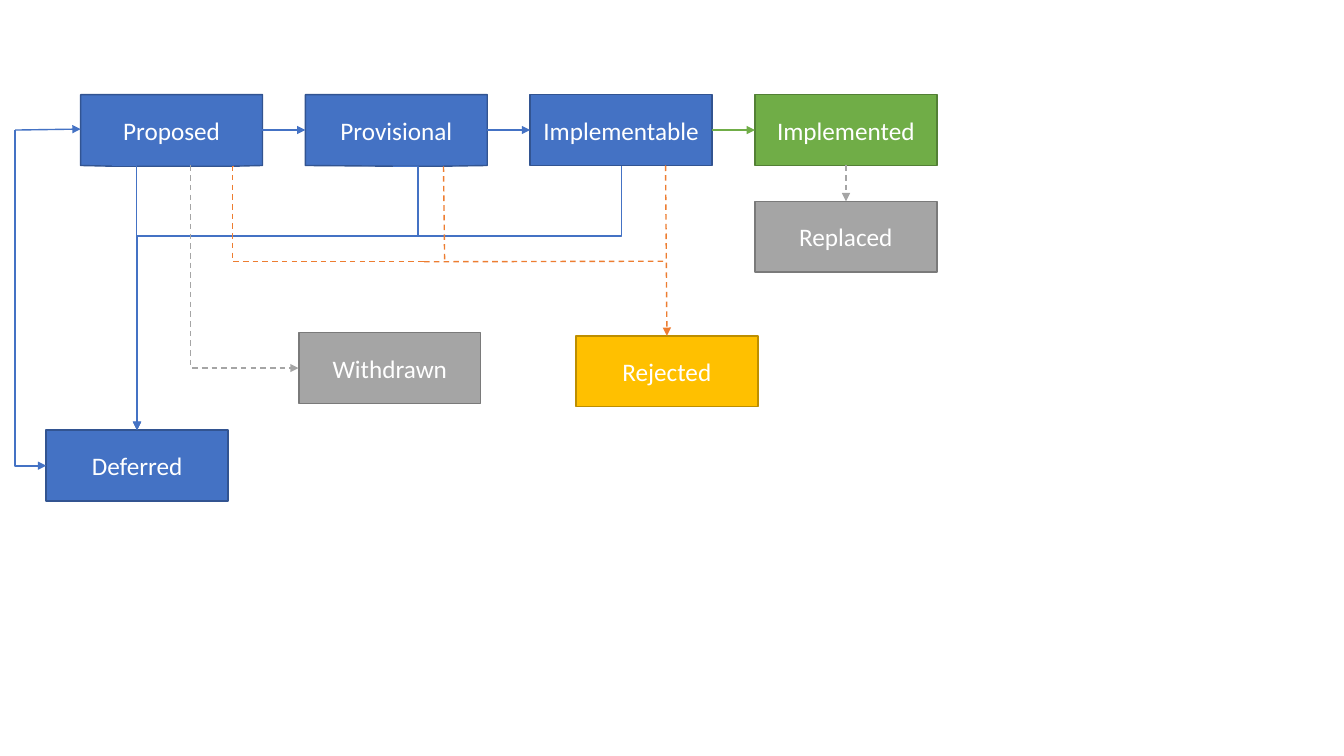
"""Draw the state flow of a proposal, from proposed to implemented or dropped."""
from dataclasses import dataclass
from typing import Any

from lxml.etree import SubElement as Sub
from pptx import Presentation as Deck
from pptx.dml.color import RGBColor as Rgb
from pptx.enum.dml import MSO_LINE as Dash
from pptx.enum.shapes import MSO_CONNECTOR as Link, MSO_SHAPE as Form
from pptx.enum.text import MSO_ANCHOR as Anchor, PP_ALIGN as Align
from pptx.oxml.ns import qn
from pptx.util import Pt

BLUE, GREEN, GREY, GOLD, ORANGE = "4472C4", "70AD47", "A5A5A5", "FFC000", "ED7D31"
EDGE = {BLUE: "325491", GREEN: "538035", GREY: "7A7A7A", GOLD: "BD8E00"}
WIDE, HIGH = 129.9, 50.6
LEFT, TOP, STEP = 57.6, 67.6, 160.55
MID = 92.9
Spot = tuple[float, float]


@dataclass
class Box:
    text: str
    x: float
    y: float
    fill: str
    foot: tuple[float, ...] = ()


@dataclass
class Line:
    start: Spot
    end: Spot
    hue: str
    dash: bool = False
    head: bool = True
    bends: int = 0
    turn: int = 0
    shift: tuple[int, ...] = ()
    width: float = 1


COLS = [LEFT + n * STEP for n in range(4)]
BOXES = [
    Box("Proposed", COLS[0], TOP, BLUE, (167, 79.9)),
    Box("Provisional", COLS[1], TOP, BLUE, (316.8, 280.8)),
    Box("Implementable", COLS[2], TOP, BLUE),
    Box("Implemented", COLS[3], TOP, GREEN),
    Box("Deferred", 33, 307.2, BLUE),
    Box("Rejected", 411.4, 239.9, GOLD),
    Box("Withdrawn", 213.5, 237.6, GREY),
    Box("Replaced", COLS[3], 143.8, GREY),
]
STEPS = [
    Line((x + WIDE, MID), (x + STEP, MID), hue)
    for x, hue in zip(COLS, (BLUE, BLUE, GREEN))
]
LINES = STEPS + [
    Line((280.8, 118.8), (97.9, 307.2), BLUE, bends=4, shift=(-9800, 26400)),
    Line((97.9, 307.2), (405.4, 168.7), BLUE, bends=2, turn=180),
    Line((604.3, 118.2), (604.3, 143.8), GREY, dash=True),
    Line((475.4, 118.2), (476.4, 239.9), ORANGE, dash=True),
    Line((247.1, 152), (102.4, 229.1), GREY, dash=True, bends=2, turn=270),
    Line((167, 118.8), (304.8, 187), ORANGE, True, False, 3, shift=(-600,)),
    Line((399.6, 124.5), (450, 162.6), BLUE, False, False, 3, 90, (99900,)),
    Line((79.9, 118.2), (97.9, 307.2), BLUE, bends=4, shift=(98800, 50100)),
    Line((316.8, 118.8), (317.6, 187), ORANGE, True, False),
    Line((141.8, 201.6), (-98, 223.9), BLUE, bends=2, turn=270, width=1.5),
    Line((10.8, MID), (LEFT, 92.2), BLUE),
    Line((303, 187), (475.4, 186.6), ORANGE, True, False),
]


def tint(code: str) -> Rgb:
    return Rgb.from_string(code)


def apply(item: Any, vals: dict[str, Any]) -> None:
    for key, val in vals.items():
        setattr(item, key, val)


def shape(tree: Any, box: Box) -> Any:
    x, y = box.x, box.y
    if not box.foot:
        return tree.add_shape(Form.FLOWCHART_PROCESS, Pt(x), Pt(y), Pt(WIDE), Pt(HIGH))
    base = y + HIGH
    pts = [(x + WIDE, y), (x + WIDE, base)]
    pts += [(foot, base + 0.5) for foot in box.foot] + [(x, base)]
    pen = tree.build_freeform(Pt(x), Pt(y))
    pen.add_line_segments([(Pt(a), Pt(b)) for a, b in pts], close=True)
    return pen.convert_to_shape()


def draw_box(tree: Any, box: Box) -> None:
    item = shape(tree, box)
    item.shadow.inherit = False
    item.fill.solid()
    item.fill.fore_color.rgb = tint(box.fill)
    item.line.color.rgb = tint(EDGE[box.fill])
    item.line.width = Pt(1)
    frame = item.text_frame
    apply(frame, {"text": box.text, "word_wrap": True, "vertical_anchor": Anchor.MIDDLE})
    para = frame.paragraphs[0]
    para.alignment = Align.CENTER
    font = para.runs[0].font
    apply(font, {"name": "Calibri", "size": Pt(18)})
    font.color.rgb = tint("FFFFFF")


def draw_line(tree: Any, line: Line) -> None:
    kind = Link.ELBOW if line.bends else Link.STRAIGHT
    item = tree.add_connector(kind, *(Pt(v) for v in line.start + line.end))
    item.line.color.rgb = tint(line.hue)
    item.line.width = Pt(line.width)
    if line.dash:
        item.line.dash_style = Dash.DASH
    props = item._element.spPr
    if line.head:
        Sub(item.line._get_or_add_ln(), qn("a:tailEnd"), type="triangle")
    if line.turn:
        props.find(qn("a:xfrm")).set("rot", str(line.turn * 60000))
    if line.bends:
        geom = props.find(qn("a:prstGeom"))
        geom.set("prst", f"bentConnector{line.bends}")
        guides = geom.find(qn("a:avLst"))
        for n, val in enumerate(line.shift, 1):
            Sub(guides, qn("a:gd"), name=f"adj{n}", fmla=f"val {val}")
    Sub(props, qn("a:effectLst"))


def main() -> None:
    deck = Deck()
    apply(deck, {"slide_width": Pt(960), "slide_height": Pt(540)})
    tree = deck.slides.add_slide(deck.slide_layouts[6]).shapes
    for box in BOXES:
        draw_box(tree, box)
    for line in LINES:
        draw_line(tree, line)
    deck.save("out.pptx")


if __name__ == "__main__":
    main()
